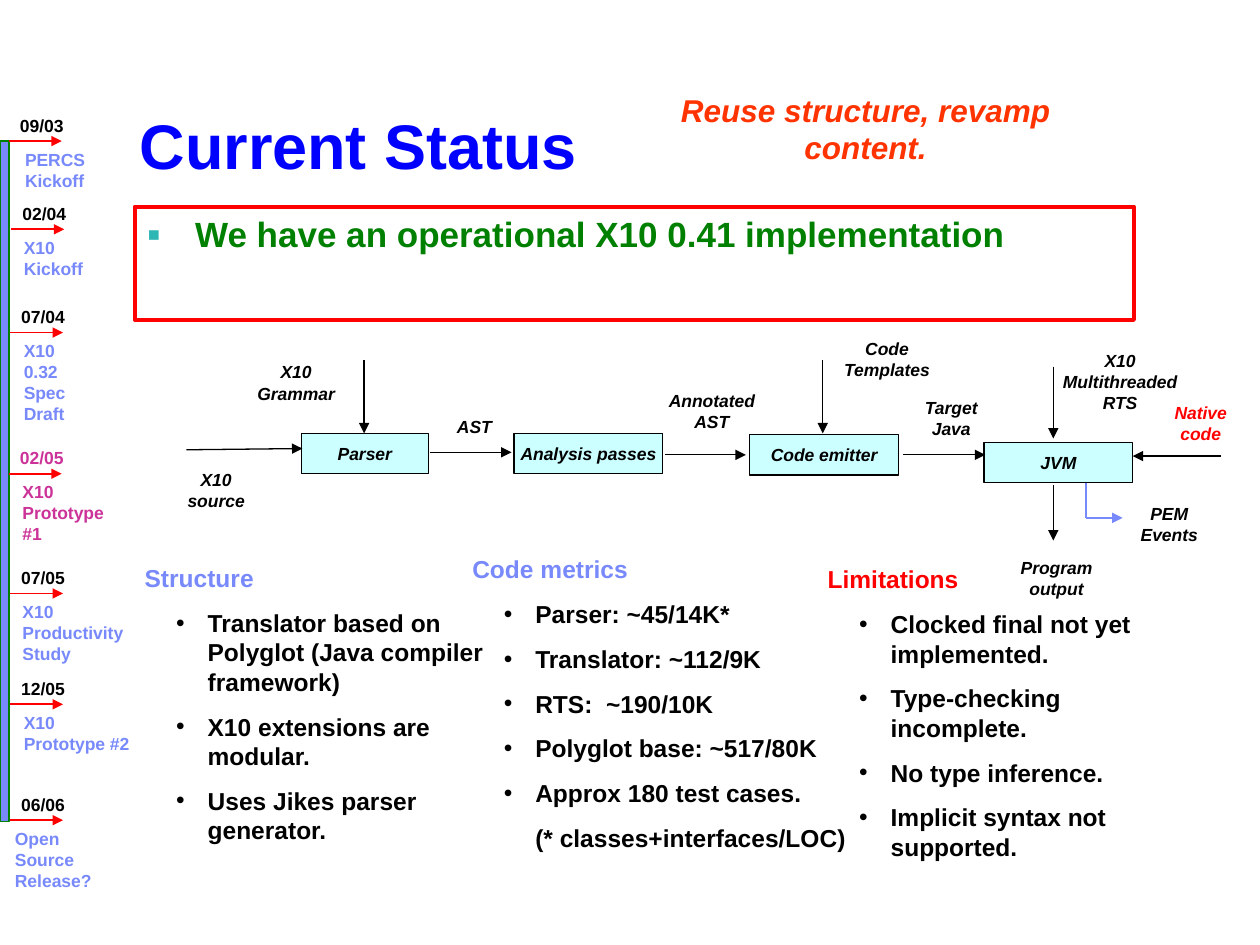
from dataclasses import dataclass

from lxml.etree import SubElement
from pptx import Presentation
from pptx.dml.color import RGBColor
from pptx.enum.shapes import MSO_CONNECTOR, MSO_SHAPE
from pptx.enum.text import MSO_ANCHOR, MSO_AUTO_SIZE, PP_ALIGN
from pptx.oxml.ns import qn
from pptx.util import Pt

EMU_PER_PX = 9144  # 100 px to the inch


def px(length):
    return length * EMU_PER_PX


@dataclass(frozen=True)
class Theme:
    font: str = "Arial"
    black: str = "000000"
    blue: str = "0000FF"
    green: str = "008000"
    red: str = "FF0000"
    orange: str = "FF3300"
    periwinkle: str = "7889FB"
    magenta: str = "CC3399"
    teal: str = "2DB6B3"
    pale_cyan: str = "CCFFFF"
    title_size: int = 36
    statement_size: int = 20
    remark_size: int = 18
    list_size: int = 14
    label_size: int = 10
    list_space: float = 8.8


class SlideBuilder:
    def __init__(self, slide, theme):
        self.slide = slide
        self.theme = theme

    def add_runs(self, paragraph, text, size, color, italic=False):
        """Add bold runs, with a line break at each newline."""
        for index, part in enumerate(text.split("\n")):
            if index:
                paragraph.add_line_break()
            run = paragraph.add_run()
            run.text = part
            font = run.font
            font.name, font.size = self.theme.font, Pt(size)
            font.bold, font.italic = True, italic
            font.color.rgb = RGBColor.from_string(color)

    def bullet(self, paragraph, character, color, margin, hanging, percent=100):
        properties = paragraph._p.get_or_add_pPr()
        properties.set("marL", str(px(margin)))
        properties.set("indent", str(px(-hanging)))
        if character:
            bullet_color = SubElement(properties, qn("a:buClr"))
            SubElement(bullet_color, qn("a:srgbClr"), val=color)
            SubElement(properties, qn("a:buSzPct"), val=str(percent * 1000))
            SubElement(properties, qn("a:buFont"), typeface=self.theme.font)
            SubElement(properties, qn("a:buChar"), char=character)

    def text_frame(self, left, top, width, height):
        box = self.slide.shapes.add_textbox(*map(px, (left, top, width, height)))
        box.text_frame.word_wrap = True
        return box.text_frame

    def text(self, bounds, text, size, color, italic=False, centered=False):
        frame = self.text_frame(*bounds)
        frame.auto_size = MSO_AUTO_SIZE.SHAPE_TO_FIT_TEXT
        paragraph = frame.paragraphs[0]
        paragraph.alignment = PP_ALIGN.CENTER if centered else PP_ALIGN.LEFT
        self.add_runs(paragraph, text, size, color, italic)

    def title(self, bounds, text):
        frame = self.text_frame(*bounds)
        frame.vertical_anchor = MSO_ANCHOR.BOTTOM
        frame.paragraphs[0].line_spacing = 0.9
        self.add_runs(frame.paragraphs[0], text, self.theme.title_size, self.theme.blue)

    def flow_label(self, bounds, text, color):
        self.text(bounds, text, self.theme.label_size, color, italic=True, centered=True)

    def rectangle(self, bounds, line, weight, fill=None):
        shape = self.slide.shapes.add_shape(MSO_SHAPE.RECTANGLE, *map(px, bounds))
        shape.shadow.inherit = False
        if fill:
            shape.fill.solid()
            shape.fill.fore_color.rgb = RGBColor.from_string(fill)
        else:
            shape.fill.background()
        shape.line.color.rgb = RGBColor.from_string(line)
        shape.line.width = Pt(weight)
        return shape

    def statement(self, bounds, text):
        theme = self.theme
        frame = self.rectangle(bounds, theme.red, 2.25).text_frame
        frame.word_wrap = True
        frame.vertical_anchor = MSO_ANCHOR.TOP
        paragraph = frame.paragraphs[0]
        self.bullet(paragraph, "▪", theme.teal, 38, 38, 110)
        paragraph.alignment = PP_ALIGN.LEFT
        self.add_runs(paragraph, text, theme.statement_size, theme.green)

    def stage(self, bounds, text):
        theme = self.theme
        frame = self.rectangle(bounds, theme.black, 0.75, theme.pale_cyan).text_frame
        frame.word_wrap = False
        frame.vertical_anchor = MSO_ANCHOR.MIDDLE
        frame.paragraphs[0].alignment = PP_ALIGN.CENTER
        self.add_runs(frame.paragraphs[0], text, theme.label_size, theme.black, italic=True)

    def line(self, points, color, weight, arrow=True):
        connector = self.slide.shapes.add_connector(MSO_CONNECTOR.STRAIGHT, *map(px, points))
        connector.line.color.rgb = RGBColor.from_string(color)
        connector.line.width = Pt(weight)
        if arrow:
            SubElement(connector.line._get_or_add_ln(), qn("a:tailEnd"), type="triangle")
        SubElement(connector._element.spPr, qn("a:effectLst"))

    def topic(self, bounds, heading, color, items, note=None):
        """Add a heading with its bulleted items and an optional plain note."""
        theme = self.theme
        frame = self.text_frame(*bounds)
        frame.auto_size = MSO_AUTO_SIZE.SHAPE_TO_FIT_TEXT
        self.add_runs(frame.paragraphs[0], heading, theme.list_size, color)
        entries = [(item, "•", 25) for item in items]
        if note:
            entries.append((note, None, 0))
        for text, character, hanging in entries:
            paragraph = frame.add_paragraph()
            self.bullet(paragraph, character, theme.black, 50, hanging)
            paragraph.space_before = Pt(theme.list_space)
            self.add_runs(paragraph, text, theme.list_size, theme.black)

    def milestone(self, left, y, date, date_color, label, label_color, label_left, width, height):
        theme = self.theme
        self.line((left, y, left + 42, y), theme.red, 1)
        self.text((left - 1, y - 26, 72, 26), date, theme.label_size, date_color)
        self.text((label_left, y + 1, width, height), label, theme.label_size, label_color)


def main():
    presentation = Presentation()
    presentation.slide_width, presentation.slide_height = px(1000), px(750)
    theme = Theme()
    slide = presentation.slides.add_slide(presentation.slide_layouts[6])
    builder = SlideBuilder(slide, theme)

    builder.title((101, 25, 850, 125), "Current Status")
    builder.statement((107, 164, 793, 90), "We have an operational X10 0.41 implementation")
    builder.text((483, 67, 408, 70), "Reuse structure, revamp content.",
                 theme.remark_size, theme.orange, italic=True, centered=True)

    for left, top, width, name in (
        (239, 344, 101, "Parser"), (408, 344, 118, "Analysis passes"),
        (595, 345, 118, "Code emitter"), (781, 351, 118, "JVM"),
    ):
        builder.stage((left, top, width, 32), name)

    for points in (
        (148, 357, 240, 356), (341, 359, 406, 359), (528, 361, 592, 361),
        (717, 361, 782, 361), (969, 362, 899, 362), (289, 286, 289, 344),
        (653, 286, 653, 344), (836, 291, 836, 348), (836, 385, 836, 429),
    ):
        builder.line(points, theme.black, 0.75)
    builder.line((862, 383, 862, 411), theme.periwinkle, 1, arrow=False)
    builder.line((862, 411, 891, 411), theme.periwinkle, 1)

    for bounds, text, color in (
        ((132, 367, 79, 44), "X10 source", theme.black),
        ((188, 282, 94, 44), "X10 Grammar", theme.black),
        ((334, 325, 85, 27), "AST", theme.black),
        ((518, 305, 94, 44), "Annotated AST", theme.black),
        ((657, 263, 94, 44), "Code Templates", theme.black),
        ((708, 310, 94, 44), "Target Java", theme.black),
        ((831, 273, 116, 60), "X10 Multithreaded RTS", theme.black),
        ((906, 314, 94, 44), "Native code", theme.red),
        ((781, 437, 115, 44), "Program output", theme.black),
        ((893, 394, 70, 44), "PEM Events", theme.black),
    ):
        builder.flow_label(bounds, text, color)

    builder.topic((105, 442, 294, 234), "Structure", theme.periwinkle, (
        "Translator based on Polyglot (Java compiler framework)",
        "X10 extensions are modular.", "Uses Jikes parser generator."))
    builder.topic((365, 435, 389, 246), "Code metrics", theme.periwinkle, (
        "Parser: ~45/14K*", "Translator: ~112/9K", "RTS:  ~190/10K",
        "Polyglot base: ~517/80K", "Approx 180 test cases."),
        note="(* classes+interfaces/LOC)")
    builder.topic((647, 443, 311, 245), "Limitations", theme.red, (
        "Clocked final not yet implemented.", "Type-checking incomplete.",
        "No type inference.", "Implicit syntax not supported."))

    builder.rectangle((0, 112, 7, 540), theme.green, 1, theme.periwinkle)
    plain, current = (theme.black, theme.periwinkle), (theme.magenta, theme.magenta)
    for left, y, date, label, colors, label_left, width, height in (
        (7, 112, "09/03", "PERCS Kickoff", plain, 10, 75, 43),
        (9, 182, "02/04", "X10 Kickoff", plain, 9, 75, 43),
        (8, 264, "07/04", "X10 0.32 Spec Draft", plain, 9, 75, 76),
        (7, 376, "02/05", "X10 Prototype #1", current, 8, 89, 60),
        (8, 471, "07/05", "X10 Productivity\nStudy", plain, 8, 101, 60),
        (8, 559, "12/05", "X10 Prototype #2", plain, 9, 105, 43),
        (8, 651, "06/06", "Open Source Release?", plain, 2, 105, 60),
    ):
        builder.milestone(left, y, date, colors[0], label, colors[1], label_left, width, height)

    presentation.save("out.pptx")


if __name__ == "__main__":
    main()
